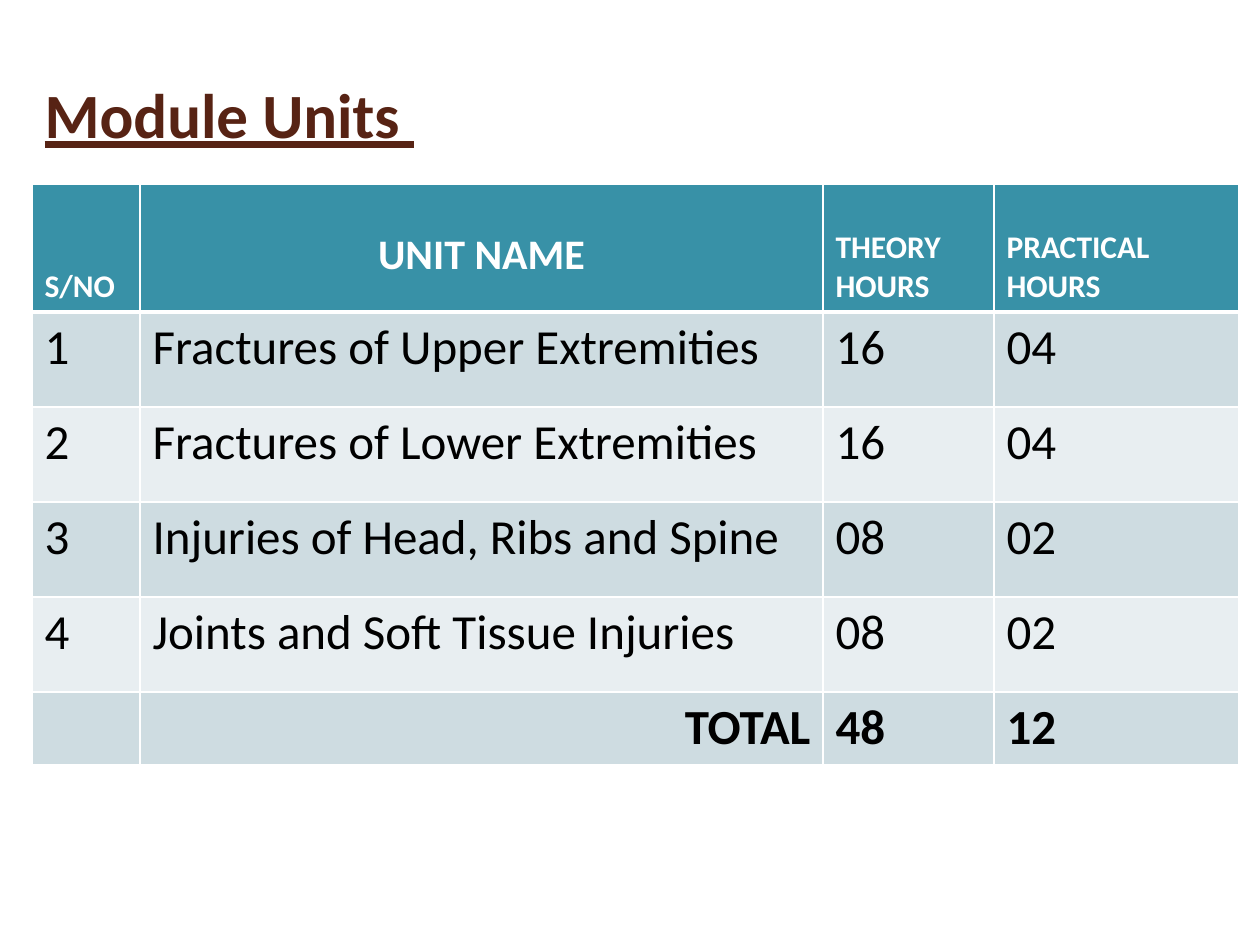
from lxml.etree import SubElement
from pptx import Presentation
from pptx.dml.color import RGBColor
from pptx.enum.text import MSO_ANCHOR, PP_ALIGN
from pptx.oxml.ns import qn
from pptx.util import Pt

COLORS = {"title": "572314", "header": "3891A7", "odd": "CEDCE1",
          "even": "E8EEF1", "line": "FFFFFF", "text": "000000"}
FONT = "Calibri"
TITLE = "Module Units "
HEADERS = ["S/NO", "UNIT NAME", "THEORY HOURS", "PRACTICAL\nHOURS"]
UNITS = [
    ("1", "Fractures of Upper Extremities", "16", "04"),
    ("2", "Fractures of Lower Extremities", "16", "04"),
    ("3", "Injuries of Head, Ribs and Spine", "08", "02"),
    ("4", "Joints and Soft Tissue Injuries", "08", "02"),
]
TOTAL = ("", "TOTAL", "48", "12")

COLUMN_WIDTHS = [108, 683, 171, 245]
HEADER_HEIGHT, UNIT_HEIGHT, TOTAL_HEIGHT = 128, 95, 72
NAME_COLUMN = 1


def px(length):
    return round(length * 914400 / 126)


def write(frame, text, size, color, bold=False, underline=False,
          align=PP_ALIGN.LEFT):
    frame.text = text
    for paragraph in frame.paragraphs:
        paragraph.alignment = align
        for run in paragraph.runs:
            font = run.font
            font.name, font.size = FONT, Pt(size)
            font.bold, font.underline = bold, underline
            font.color.rgb = RGBColor.from_string(COLORS[color])


def style_cell(cell, fill, top=1, bottom=1):
    """Draw the cell's four borders, widths in points, and its fill."""
    properties = cell._tc.get_or_add_tcPr()
    for tag, width in (("lnL", 1), ("lnR", 1), ("lnT", top), ("lnB", bottom)):
        line = SubElement(properties, qn(f"a:{tag}"), w=str(Pt(width)))
        solid = SubElement(line, qn("a:solidFill"))
        SubElement(solid, qn("a:srgbClr"), val=COLORS["line"])
    cell.fill.solid()
    cell.fill.fore_color.rgb = RGBColor.from_string(COLORS[fill])


def add_units_table(slide):
    rows = [HEADERS, *UNITS, TOTAL]
    heights = [HEADER_HEIGHT, *[UNIT_HEIGHT] * len(UNITS), TOTAL_HEIGHT]
    table = slide.shapes.add_table(
        len(rows), len(HEADERS), px(32), px(184),
        px(sum(COLUMN_WIDTHS)), px(sum(heights))).table
    for column, width in zip(table.columns, COLUMN_WIDTHS):
        column.width = px(width)
    for row, height in zip(table.rows, heights):
        row.height = px(height)

    for r, values in enumerate(rows):
        for c, value in enumerate(values):
            cell = table.cell(r, c)
            is_name = c == NAME_COLUMN
            if r == 0:
                style_cell(cell, "header", bottom=3)
                cell.vertical_anchor = MSO_ANCHOR.BOTTOM
                if is_name:
                    cell.margin_bottom = px(31)
                write(cell.text_frame, value, 24 if is_name else 18, "line",
                      bold=True,
                      align=PP_ALIGN.CENTER if is_name else PP_ALIGN.LEFT)
            else:
                is_total = values is TOTAL
                style_cell(cell, "odd" if r % 2 else "even",
                           top=3 if r == 1 else 1)
                write(cell.text_frame, value, 28, "text", bold=is_total,
                      align=PP_ALIGN.RIGHT if is_total and is_name
                      else PP_ALIGN.LEFT)


def main():
    presentation = Presentation()
    presentation.slide_width, presentation.slide_height = px(1260), px(945)
    slide = presentation.slides.add_slide(presentation.slide_layouts[5])

    title = slide.shapes.title
    title.left, title.top = px(32), px(42)
    title.width, title.height = px(914), px(142)
    title.text_frame.vertical_anchor = MSO_ANCHOR.MIDDLE
    write(title.text_frame, TITLE, 36, "title", bold=True, underline=True)

    add_units_table(slide)
    presentation.save("out.pptx")


if __name__ == "__main__":
    main()
